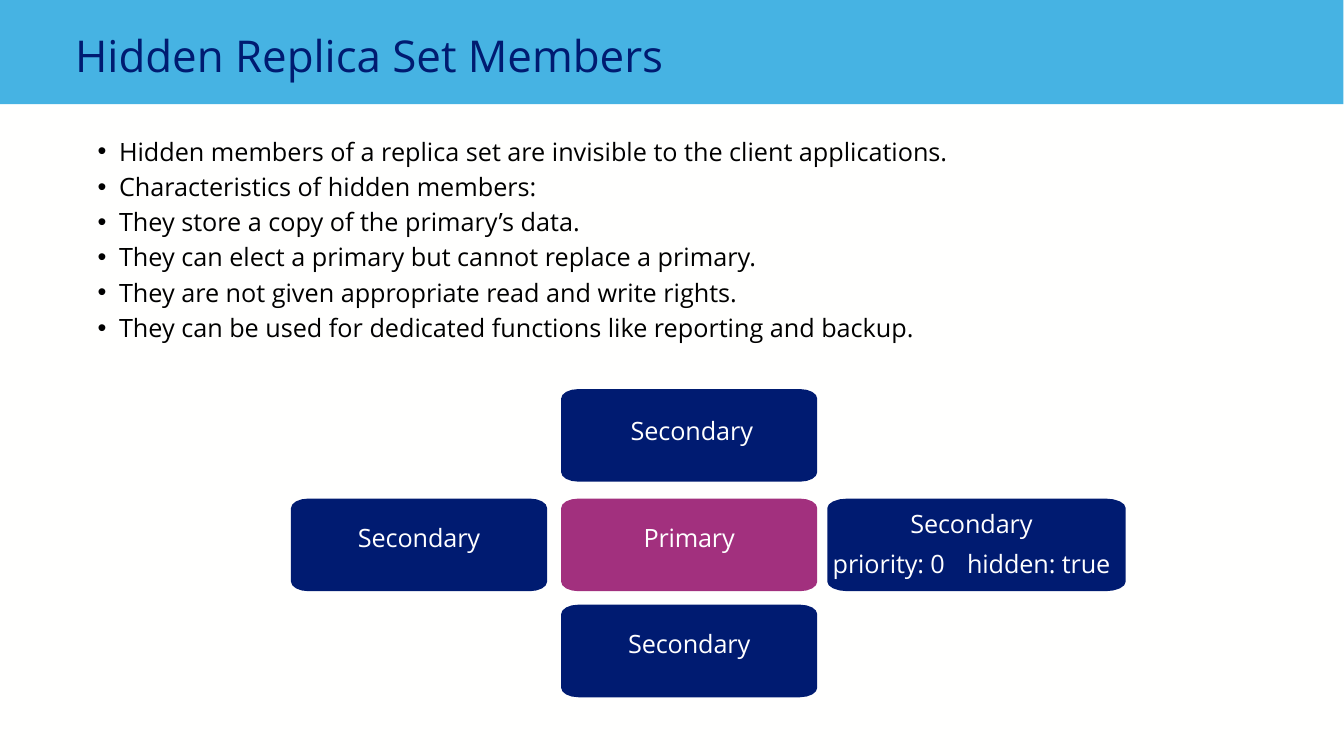
from math import cos, pi, sin

from lxml.etree import SubElement
from pptx import Presentation
from pptx.dml.color import RGBColor
from pptx.enum.text import MSO_ANCHOR, MSO_AUTO_SIZE, PP_ALIGN
from pptx.oxml.ns import qn
from pptx.util import Cm, Pt

NAVY = RGBColor(0x00, 0x1B, 0x71)
SKY = RGBColor(0x46, 0xB3, 0xE3)
PLUM = RGBColor(0xA2, 0x30, 0x7E)
BLACK = RGBColor(0x00, 0x00, 0x00)
WHITE = RGBColor(0xFF, 0xFF, 0xFF)
PAPER = RGBColor(0xFF, 0xFF, 0xFE)

FONT = "Open Sans"
BODY_SIZE = Pt(27)
NODE_WIDTH, HIDDEN_WIDTH, NODE_HEIGHT = 9.68, 11.28, 3.5
LEFT_COLUMN, MIDDLE_COLUMN, RIGHT_COLUMN = 11, 21.21, 31.27
TOP_ROW, MIDDLE_ROW, BOTTOM_ROW = 14.71, 18.85, 22.86

BULLETS = [
    "Hidden members of a replica set are invisible to the client applications.",
    "Characteristics of hidden members:",
    "They store a copy of the primary’s data.",
    "They can elect a primary but cannot replace a primary.",
    "They are not given appropriate read and write rights.",
    "They can be used for dedicated functions like reporting and backup.",
]

# Text, left, top, fill, letter spacing in 1/100 pt, label shift, label top inset
NODES = [
    ("Secondary", MIDDLE_COLUMN, BOTTOM_ROW, NAVY, -10, 0, 0.03),
    ("Primary", MIDDLE_COLUMN, MIDDLE_ROW, PLUM, -20, 0, 0.03),
    ("Secondary", LEFT_COLUMN, MIDDLE_ROW, NAVY, -10, 0, 0.03),
    ("Secondary", MIDDLE_COLUMN, TOP_ROW, NAVY, -10, 0.1, 0.13),
]


def set_frame(frame, top_inset=0):
    settings = {
        "word_wrap": True,
        "auto_size": MSO_AUTO_SIZE.NONE,
        "vertical_anchor": MSO_ANCHOR.TOP,
        "margin_left": 0,
        "margin_top": Cm(top_inset),
        "margin_right": 0,
        "margin_bottom": 0,
    }
    for name, value in settings.items():
        setattr(frame, name, value)


def write(paragraph, text, color, size=BODY_SIZE, spacing=0, **layout):
    """Add text; layout holds paragraph attributes such as alignment."""
    for name, value in layout.items():
        setattr(paragraph, name, value)
    span = paragraph.add_run()
    span.text = text
    for name, value in {"name": FONT, "size": size}.items():
        setattr(span.font, name, value)
    span.font.color.rgb = color
    if spacing:
        span.font._element.set("spc", str(spacing))


def add_text_box(page, left, top, width, height, top_inset=0):
    box = page.shapes.add_textbox(Cm(left), Cm(top), Cm(width), Cm(height))
    set_frame(box.text_frame, top_inset)
    return box.text_frame


def paragraphs_for(frame, lines):
    """Yield each line with its paragraph, using the first empty one."""
    for index, line in enumerate(lines):
        yield (frame.add_paragraph() if index else frame.paragraphs[0]), line


def add_title(page, text):
    title = page.shapes.title
    place = {"left": 2.84, "top": 0.74, "width": 32.31, "height": 2.24}
    for name, value in place.items():
        setattr(title, name, Cm(value))
    set_frame(title.text_frame)
    write(title.text_frame.paragraphs[0], text, NAVY, Pt(47),
          alignment=PP_ALIGN.LEFT, line_spacing=Pt(65.8))


def add_title_band(page):
    band = page.shapes.add_shape(1, 0, 0, Cm(50.78), Cm(3.94))
    band.shadow.inherit = False
    band.fill.solid()
    band.fill.fore_color.rgb = SKY
    band.line.fill.background()
    page.shapes.title.element.addprevious(band.element)


def add_bullets(page, lines):
    frame = add_text_box(page, 2.87, 4.95, 36.73, 9.32)
    for paragraph, line in paragraphs_for(frame, lines):
        properties = paragraph._p.get_or_add_pPr()
        properties.set("marL", str(Cm(1.63)))
        properties.set("indent", str(-Cm(0.81)))
        SubElement(properties, qn("a:buFont"), typeface="Arial")
        SubElement(properties, qn("a:buChar"), char="•")
        write(paragraph, line, BLACK, line_spacing=Pt(37.8))


def add_node(page, left, top, width, fill):
    """Draw a block whose corners are quarter ellipses."""
    radius_x, radius_y = width * 0.067, 0.36
    steps = 4
    points = []
    for corner in range(4):
        on_right, on_bottom = corner in (0, 3), corner in (0, 1)
        center_x = left + (width - radius_x if on_right else radius_x)
        center_y = top + (NODE_HEIGHT - radius_y if on_bottom else radius_y)
        for step in range(steps + 1):
            angle = (corner + step / steps) * pi / 2
            points.append((Cm(center_x + radius_x * cos(angle)),
                           Cm(center_y + radius_y * sin(angle))))
    builder = page.shapes.build_freeform(*points[0])
    builder.add_line_segments(points[1:], close=True)
    node = builder.convert_to_shape()
    node.shadow.inherit = False
    node.fill.solid()
    node.fill.fore_color.rgb = fill
    node.line.fill.background()


def add_label(page, text, left, top, spacing, shift, top_inset):
    width = 5.74
    label_left = left + (NODE_WIDTH - width) / 2 + shift
    frame = add_text_box(page, label_left, top + 0.86, width, 1.19, top_inset)
    write(frame.paragraphs[0], text, WHITE, spacing=spacing,
          alignment=PP_ALIGN.CENTER)


def add_hidden_label(page):
    frame = add_text_box(page, 30.89, 19.51, 11.66, 2.44, 0.03)
    write(frame.paragraphs[0], "Secondary", WHITE, spacing=-10,
          alignment=PP_ALIGN.CENTER, line_spacing=Pt(23.2))
    settings = frame.add_paragraph()
    tabs = SubElement(settings._p.get_or_add_pPr(), qn("a:tabLst"))
    SubElement(tabs, qn("a:tab"), pos=str(Cm(2.77)), algn="l")
    write(settings, "priority: 0\thidden: true", WHITE, spacing=-10,
          alignment=PP_ALIGN.CENTER, line_spacing=Pt(18.4),
          space_before=Pt(24.3))


def main():
    deck = Presentation()
    deck.slide_width, deck.slide_height = Cm(50.8), Cm(28.58)
    page = deck.slides.add_slide(deck.slide_layouts[5])
    page.background.fill.solid()
    page.background.fill.fore_color.rgb = PAPER

    add_title(page, "Hidden Replica Set Members")
    add_title_band(page)
    add_bullets(page, BULLETS)
    for text, left, top, fill, spacing, shift, top_inset in NODES:
        add_node(page, left, top, NODE_WIDTH, fill)
        add_label(page, text, left, top, spacing, shift, top_inset)
    add_node(page, RIGHT_COLUMN, MIDDLE_ROW, HIDDEN_WIDTH, NAVY)
    add_hidden_label(page)
    deck.save("out.pptx")


if __name__ == "__main__":
    main()
